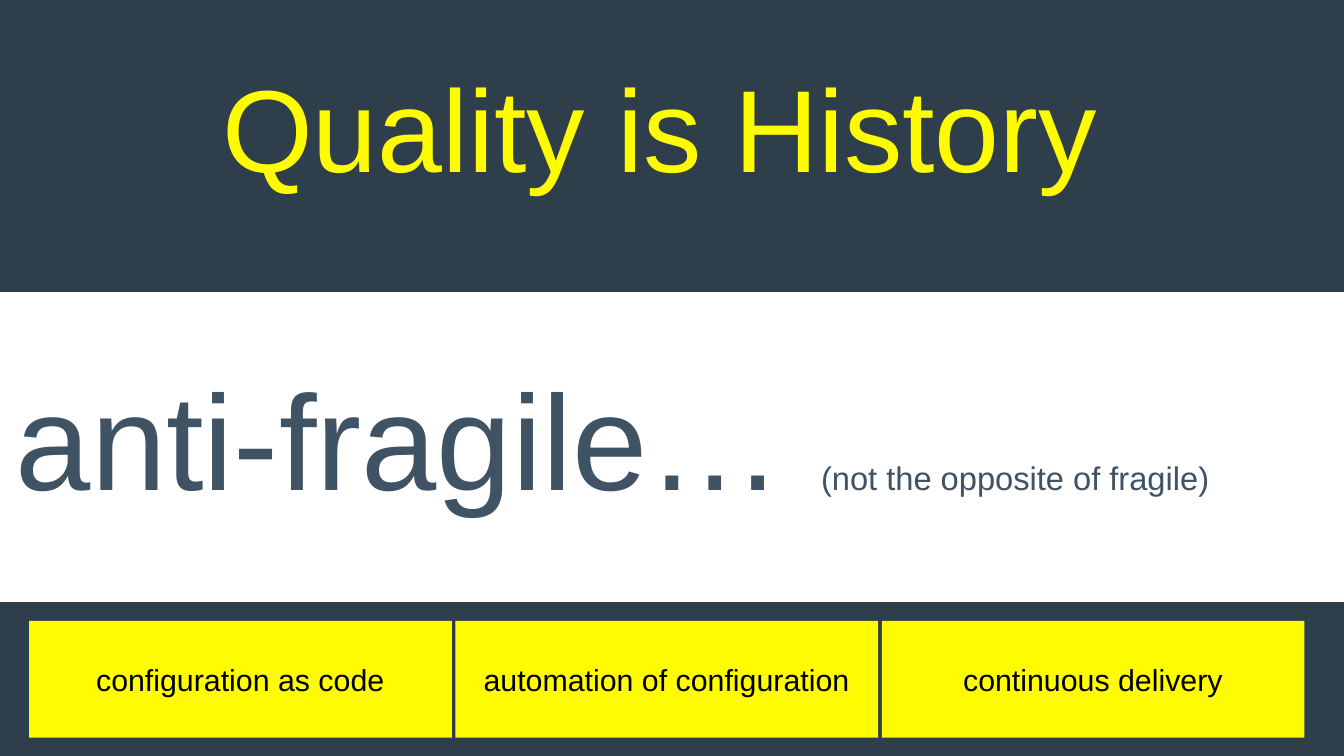
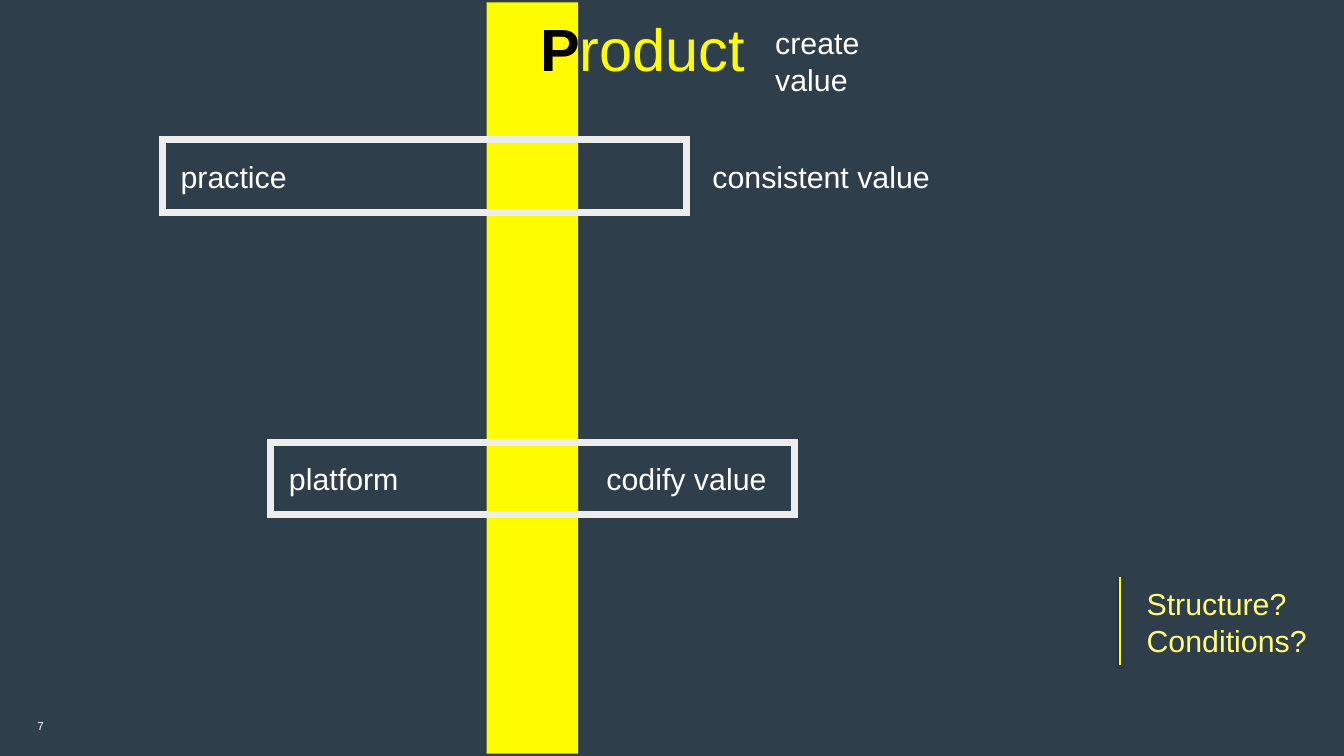
from lxml.etree import SubElement
from pptx import Presentation
from pptx.dml.color import RGBColor
from pptx.enum.shapes import MSO_CONNECTOR, MSO_SHAPE
from pptx.enum.text import MSO_ANCHOR, MSO_AUTO_SIZE, PP_ALIGN
from pptx.oxml.ns import qn
from pptx.util import Pt

C = {
    "navy": "2F3E4B", "slate": "3F5364", "yellow": "FFFB00", "pale": "FFFC79",
    "frame": "EDEDEE", "white": "FFFFFF", "black": "000000",
}


def add_rect(s, x, y, w, h, fill=None, line=None):
    sp = s.shapes.add_shape(MSO_SHAPE.RECTANGLE, Pt(x), Pt(y), Pt(w), Pt(h))
    sp.shadow.inherit = False
    if fill:
        sp.fill.solid()
        sp.fill.fore_color.rgb = RGBColor.from_string(C[fill])
    else:
        sp.fill.background()
    if line:
        sp.line.width = Pt(6)
        sp.line.color.rgb = RGBColor.from_string(C[line])
        SubElement(sp.line._get_or_add_ln(), qn("a:miter"), lim="800000")
    else:
        sp.line.fill.background()


def add_text(s, x, y, w, h, paragraphs, align=PP_ALIGN.LEFT, wrap=False, inset=0,
             anchor=MSO_ANCHOR.TOP):
    tf = s.shapes.add_textbox(Pt(x), Pt(y), Pt(w), Pt(h)).text_frame
    layout = {"word_wrap": wrap, "auto_size": MSO_AUTO_SIZE.SHAPE_TO_FIT_TEXT,
              "vertical_anchor": anchor}
    layout.update({f"margin_{side}": Pt(inset) for side in ("left", "top", "right", "bottom")})
    for name, value in layout.items():
        setattr(tf, name, value)
    for i, runs in enumerate(paragraphs):
        p = tf.add_paragraph() if i else tf.paragraphs[0]
        p.alignment = align
        for text, size, color, bold in runs:
            r = p.add_run()
            r.text = text
            for name, value in {"name": "Arial", "size": Pt(size), "bold": bold}.items():
                setattr(r.font, name, value)
            r.font.color.rgb = RGBColor.from_string(C[color])


prs = Presentation()
prs.slide_width, prs.slide_height = Pt(1152), Pt(648)
slides = [prs.slides.add_slide(prs.slide_layouts[6]) for _ in range(2)]
for s in slides:
    s.background.fill.solid()
    s.background.fill.fore_color.rgb = RGBColor.from_string(C["navy"])

s = slides[0]
add_rect(s, 0, 250.5, 1152, 265.5, "white")
add_text(s, 13, 47.5, 1105, 137, [[("Quality is History", 100, "yellow", False)]],
         PP_ALIGN.CENTER, True)
add_text(s, 13.7, 304.6, 1087, 157.7, [[
    ("anti-fragile… ", 116, "slate", False),
    ("(not the opposite of fragile)", 28, "slate", False),
]], wrap=True)
for i, label in enumerate(["configuration as code", "automation of configuration",
                           "continuous delivery"]):
    x = 25 + i * 365.4
    add_rect(s, x, 532.2, 362.3, 100, "yellow")
    add_text(s, x, 560.9, 362.3, 43.2, [[(label, 26, "black", False)]],
             PP_ALIGN.CENTER, True, 3.6, MSO_ANCHOR.MIDDLE)

s = slides[1]
add_text(s, 27.4, 612.7, 13.7, 18, [[("7", 10, "white", False)]],
         PP_ALIGN.RIGHT, inset=3.6, anchor=MSO_ANCHOR.MIDDLE)
add_rect(s, 417, 2, 78.5, 644, "yellow")
for x, y in [(139.5, 120), (232, 379)]:
    add_rect(s, x, y, 449.3, 62, line="frame")
add_text(s, 463, 10, 177, 57.6, [[("P", 51, "black", True), ("roduct", 51, "yellow", False)]])

for x, y, w, label, wrap in [
    (154.8, 136, 93.6, "practice", False),
    (247.7, 394.6, 99.4, "platform", False),
    (519.8, 394.6, 139.7, "codify value", False),
    (664.5, 21, 139, "create value", True),
    (610.6, 136, 193.7, "consistent value", False),
]:
    add_text(s, x, y, w, 36, [[(label, 26, "white", False)]], wrap=wrap)

rule = s.shapes.add_connector(MSO_CONNECTOR.STRAIGHT, Pt(959.8), Pt(570), Pt(959.8), Pt(494.6))
rule.line.width = Pt(2)
rule.line.color.rgb = RGBColor.from_string(C["yellow"])
effects = SubElement(rule._element.spPr, qn("a:effectLst"))
shadow = SubElement(effects, qn("a:outerShdw"), blurRad=str(Pt(3)), dist=str(Pt(1.6)),
                    dir="5400000", rotWithShape="0")
shade = SubElement(shadow, qn("a:srgbClr"), val=C["black"])
SubElement(shade, qn("a:alpha"), val="38000")
add_text(s, 982.8, 501.8, 138.2, 61.2,
         [[(word, 26, "pale", False)] for word in ("Structure?", "Conditions?")])

prs.save("out.pptx")
